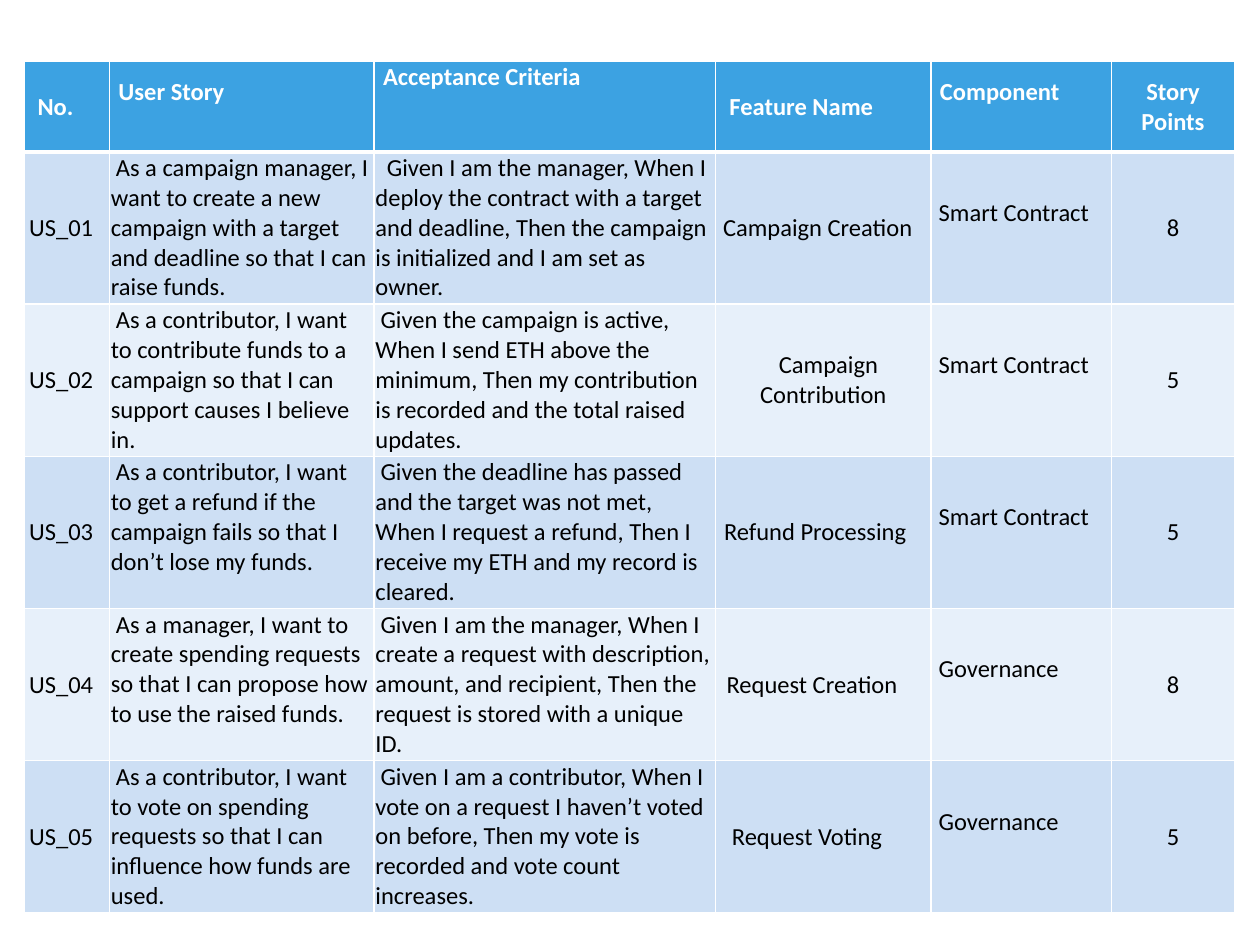
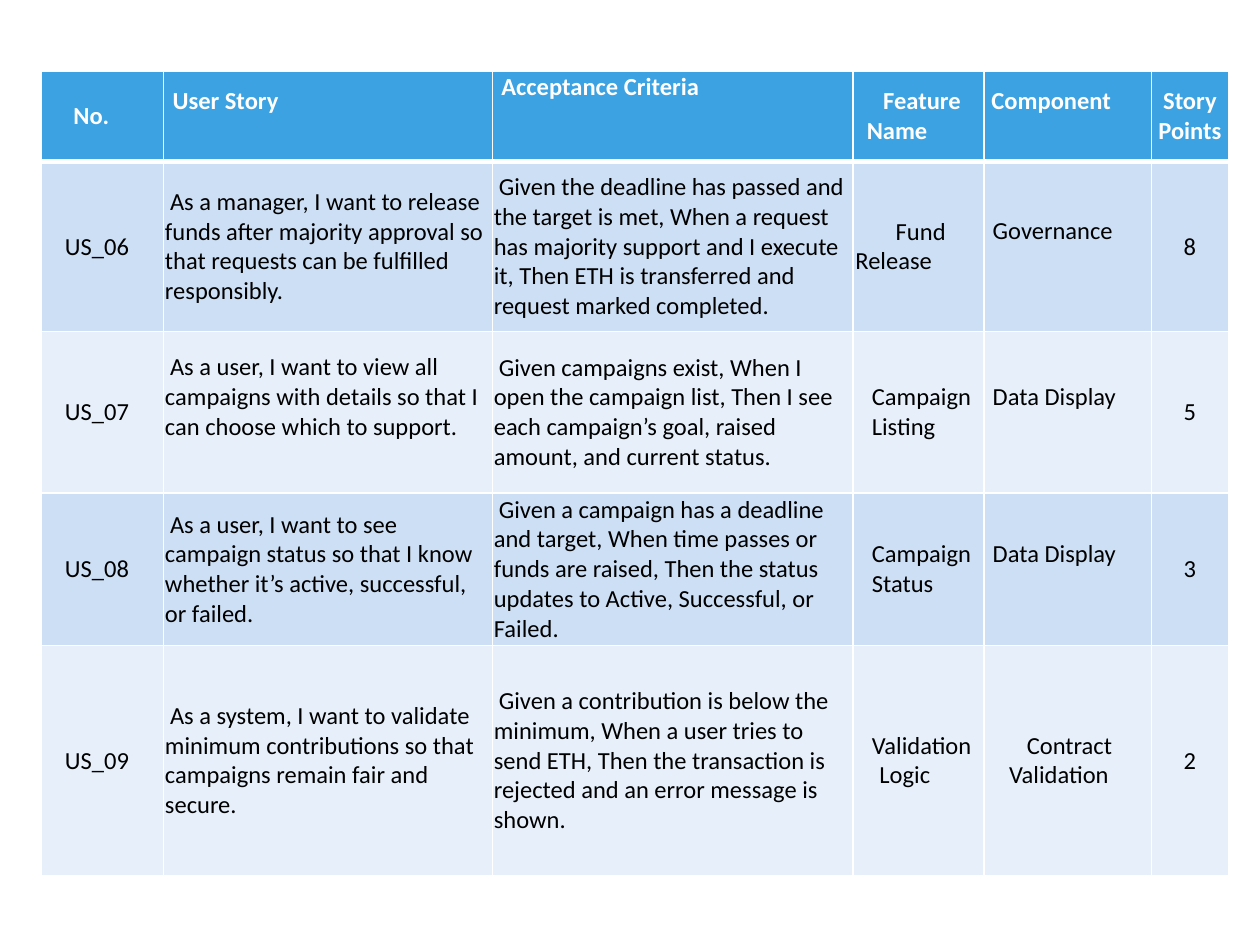
from dataclasses import dataclass, replace
from typing import Union

import lxml.etree
import pptx
import pptx.dml.color
import pptx.enum.text
import pptx.oxml.ns
import pptx.util

ALIGN = pptx.enum.text.PP_ALIGN
ANCHOR = pptx.enum.text.MSO_ANCHOR


@dataclass(frozen=True)
class Theme:
    font: str = "Calibri"
    size: float = 14
    header_fill: str = "3CA2E2"
    bands: tuple[str, str] = ("CDDFF4", "E7F0FA")
    header_text: str = "FFFFFF"
    body_text: str = "000000"
    border: str = "FFFFFF"
    border_width: float = 1
    header_rule: float = 3
    inset: float = 0.01


@dataclass(frozen=True)
class Fit:
    """Placement of text in a cell; lengths in inches beyond the cell inset."""
    align: ALIGN = ALIGN.LEFT
    anchor: ANCHOR = ANCHOR.MIDDLE
    left: float = 0
    right: float = 0
    lift: float = 0
    first_line: float = 0


@dataclass(frozen=True)
class Entry:
    """A cell whose placement differs from the rest of its column."""
    text: str
    fit: Fit


Value = Union[str, Entry]


@dataclass(frozen=True)
class Column:
    heading: str
    width: float  # percent of the slide's width
    heading_fit: Fit
    body_fit: Fit


@dataclass(frozen=True)
class Backlog:
    """One table; left and widths are percent of slide width, top and heights of its height."""
    left: float
    top: float
    columns: list[Column]
    heights: list[float]
    stories: list[tuple[Value, ...]]


THEME = Theme()
SLIDE_WIDTH = pptx.util.Inches(10)
SLIDE_HEIGHT = pptx.util.Inches(7.5)
HEADER_HEIGHT = 9.6

LINE = 0.24
CENTER = Fit(ALIGN.CENTER)
NUMBER_HEADING = Fit(ALIGN.CENTER, right=0.18)
NUMBER = Fit(ALIGN.CENTER, right=0.09)
HEADING = Fit(left=0.06, lift=LINE)
CRITERIA_HEADING = Fit(anchor=ANCHOR.TOP, left=0.06)
PROSE = Fit(first_line=0.04)
TOP_PROSE = replace(PROSE, anchor=ANCHOR.TOP)
COMPONENT = Fit(left=0.05, lift=LINE)
FEATURE = Fit(left=0.14)


def centered_left(shift: float) -> Fit:
    return replace(CENTER, right=shift)


CREATION_BACKLOG = Backlog(
    left=1.9,
    top=6.5,
    columns=[
        Column("No.", 6.8, NUMBER_HEADING, NUMBER),
        Column("User Story", 21, HEADING, TOP_PROSE),
        Column("Acceptance Criteria", 27.1, CRITERIA_HEADING, TOP_PROSE),
        Column("Feature Name", 17.1, centered_left(0.35), CENTER),
        Column("Component", 14.3, HEADING, COMPONENT),
        Column("Story Points", 9.8, CENTER, CENTER),
    ],
    heights=[16.1] * 5,
    stories=[
        ("US_01",
         "As a campaign manager, I want to create a new campaign with a target and "
         "deadline so that I can raise funds.",
         Entry("Given I am the manager, When I deploy the contract with a target and "
               "deadline, Then the campaign is initialized and I am set as owner.",
               replace(TOP_PROSE, first_line=0.09)),
         Entry("Campaign Creation", centered_left(0.09)), "Smart Contract", "8"),
        ("US_02",
         "As a contributor, I want to contribute funds to a campaign so that I can "
         "support causes I believe in.",
         "Given the campaign is active, When I send ETH above the minimum, Then my "
         "contribution is recorded and the total raised updates.",
         Entry("Campaign Contribution", replace(CENTER, first_line=0.08)),
         "Smart Contract", "5"),
        ("US_03",
         "As a contributor, I want to get a refund if the campaign fails so that I "
         "don’t lose my funds.",
         "Given the deadline has passed and the target was not met, When I request a "
         "refund, Then I receive my ETH and my record is cleared.",
         Entry("Refund Processing", centered_left(0.13)), "Smart Contract", "5"),
        ("US_04",
         "As a manager, I want to create spending requests so that I can propose how "
         "to use the raised funds.",
         "Given I am the manager, When I create a request with description, amount, "
         "and recipient, Then the request is stored with a unique ID.",
         Entry("Request Creation", centered_left(0.18)), "Governance", "8"),
        ("US_05",
         "As a contributor, I want to vote on spending requests so that I can "
         "influence how funds are used.",
         "Given I am a contributor, When I vote on a request I haven’t voted on "
         "before, Then my vote is recorded and vote count increases.",
         Entry("Request Voting", centered_left(0.26)), "Governance", "5"),
    ],
)

RELEASE_BACKLOG = Backlog(
    left=3.3,
    top=7.5,
    columns=[
        Column("No.", 9.7, NUMBER_HEADING, NUMBER),
        Column("User Story", 26.1, HEADING, PROSE),
        Column("Acceptance Criteria", 28.6, CRITERIA_HEADING, PROSE),
        Column("Feature Name", 10.4, Fit(left=0.1, first_line=0.13), FEATURE),
        Column("Component", 13.3, COMPONENT, replace(COMPONENT, left=0.06)),
        Column("Story Points", 6.1, CENTER, CENTER),
    ],
    heights=[18, 17.1, 16.1, 24.4],
    stories=[
        ("US_06",
         "As a manager, I want to release funds after majority approval so that "
         "requests can be fulfilled responsibly.",
         "Given the deadline has passed and the target is met, When a request has "
         "majority support and I execute it, Then ETH is transferred and request "
         "marked completed.",
         Entry("Fund Release", Fit(left=0.01, first_line=0.32)), "Governance", "8"),
        ("US_07",
         Entry("As a user, I want to view all campaigns with details so that I can "
               "choose which to support.", replace(PROSE, lift=LINE)),
         "Given campaigns exist, When I open the campaign list, Then I see each "
         "campaign’s goal, raised amount, and current status.",
         "Campaign Listing", "Data Display", "5"),
        ("US_08",
         "As a user, I want to see campaign status so that I know whether it’s "
         "active, successful, or failed.",
         "Given a campaign has a deadline and target, When time passes or funds are "
         "raised, Then the status updates to Active, Successful, or Failed.",
         "Campaign Status", "Data Display", "3"),
        ("US_09",
         "As a system, I want to validate minimum contributions so that campaigns "
         "remain fair and secure.",
         "Given a contribution is below the minimum, When a user tries to send ETH, "
         "Then the transaction is rejected and an error message is shown.",
         Entry("Validation Logic", Fit(left=0.2, first_line=-0.06)),
         Entry("Contract Validation", Fit(left=0.19, first_line=0.14)), "2"),
    ],
)


def across(percent: float) -> int:
    return round(SLIDE_WIDTH * percent / 100)


def down(percent: float) -> int:
    return round(SLIDE_HEIGHT * percent / 100)


def draw_borders(cell, top: float, bottom: float) -> None:
    qn = pptx.oxml.ns.qn
    properties = cell._tc.get_or_add_tcPr()
    widths = {"L": THEME.border_width, "R": THEME.border_width, "T": top, "B": bottom}
    for side, width in widths.items():
        line = lxml.etree.SubElement(properties, qn(f"a:ln{side}"),
                                     w=str(pptx.util.Pt(width)))
        fill = lxml.etree.SubElement(line, qn("a:solidFill"))
        lxml.etree.SubElement(fill, qn("a:srgbClr"), val=THEME.border)


def write_cell(cell, text: str, fit: Fit, color: str, bold: bool) -> None:
    inches = pptx.util.Inches
    cell.margin_left = inches(THEME.inset + fit.left + min(fit.first_line, 0))
    cell.margin_right = inches(THEME.inset + fit.right)
    cell.margin_top = inches(THEME.inset)
    cell.margin_bottom = inches(THEME.inset + fit.lift)
    cell.vertical_anchor = fit.anchor
    paragraph = cell.text_frame.paragraphs[0]
    paragraph.alignment = fit.align
    if fit.first_line:
        properties = paragraph._p.get_or_add_pPr()
        properties.set("marL", str(inches(max(-fit.first_line, 0))))
        properties.set("indent", str(inches(fit.first_line)))
    run = paragraph.add_run()
    run.text = text
    run.font.name = THEME.font
    run.font.size = pptx.util.Pt(THEME.size)
    run.font.bold = bold
    run.font.color.rgb = pptx.dml.color.RGBColor.from_string(color)


def draw_backlog(slide, backlog: Backlog) -> None:
    columns = backlog.columns
    heights = [HEADER_HEIGHT, *backlog.heights]
    table = slide.shapes.add_table(
        len(heights), len(columns), across(backlog.left), down(backlog.top),
        across(sum(column.width for column in columns)), down(sum(heights))).table
    for grid_column, column in zip(table.columns, columns):
        grid_column.width = across(column.width)
    for grid_row, height in zip(table.rows, heights):
        grid_row.height = down(height)

    headings = tuple(Entry(column.heading, column.heading_fit) for column in columns)
    for row, values in enumerate([headings, *backlog.stories]):
        is_header = row == 0
        background = THEME.header_fill if is_header else THEME.bands[(row - 1) % 2]
        color = THEME.header_text if is_header else THEME.body_text
        top = THEME.header_rule if row == 1 else THEME.border_width
        bottom = THEME.header_rule if is_header else THEME.border_width
        for index, value in enumerate(values):
            entry = value if isinstance(value, Entry) else Entry(value, columns[index].body_fit)
            cell = table.cell(row, index)
            draw_borders(cell, top, bottom)
            cell.fill.solid()
            cell.fill.fore_color.rgb = pptx.dml.color.RGBColor.from_string(background)
            write_cell(cell, entry.text, entry.fit, color, is_header)


def main() -> None:
    presentation = pptx.Presentation()
    presentation.slide_width = SLIDE_WIDTH
    presentation.slide_height = SLIDE_HEIGHT
    blank_layout = presentation.slide_layouts[6]
    for backlog in (CREATION_BACKLOG, RELEASE_BACKLOG):
        draw_backlog(presentation.slides.add_slide(blank_layout), backlog)
    presentation.save("out.pptx")


if __name__ == "__main__":
    main()
